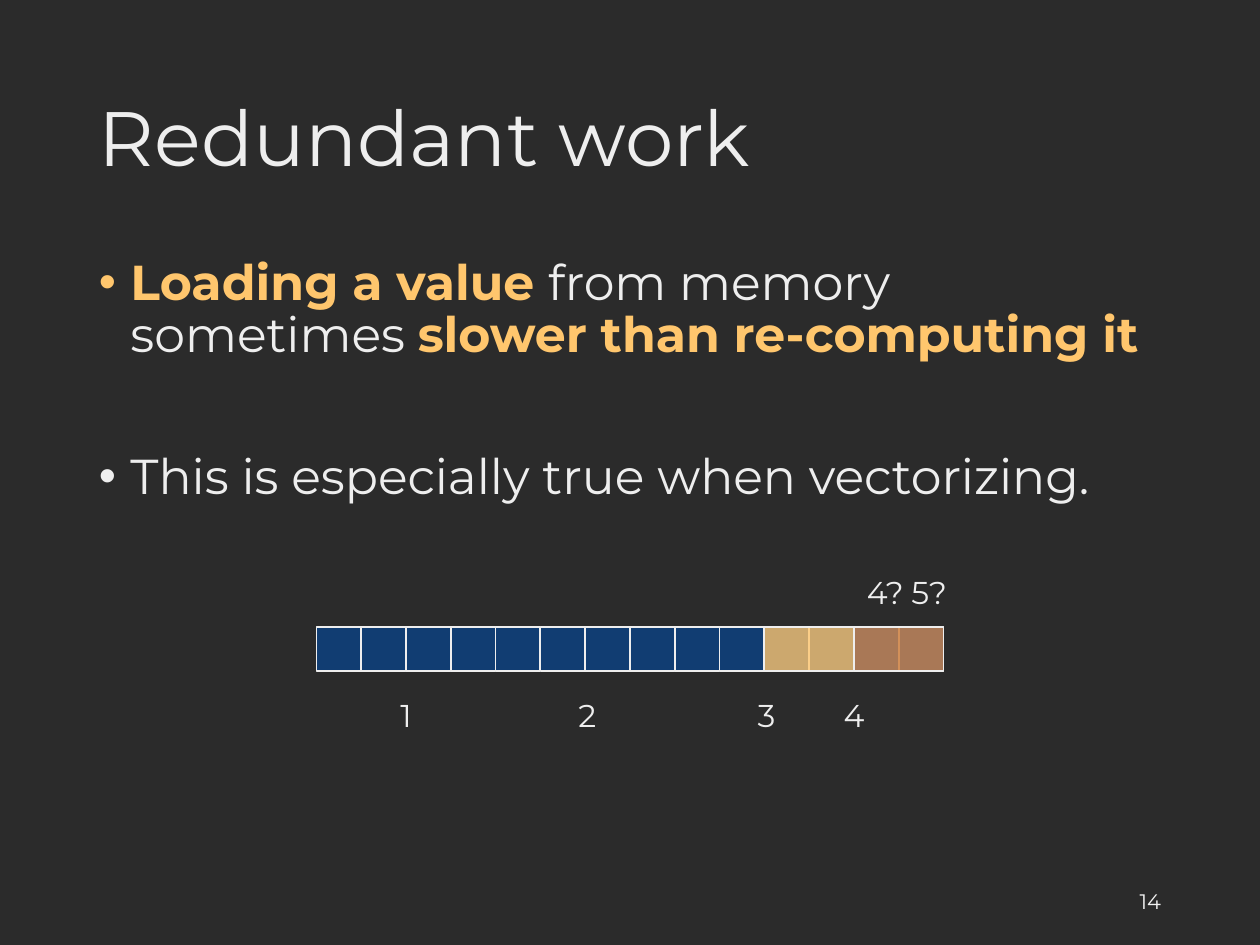
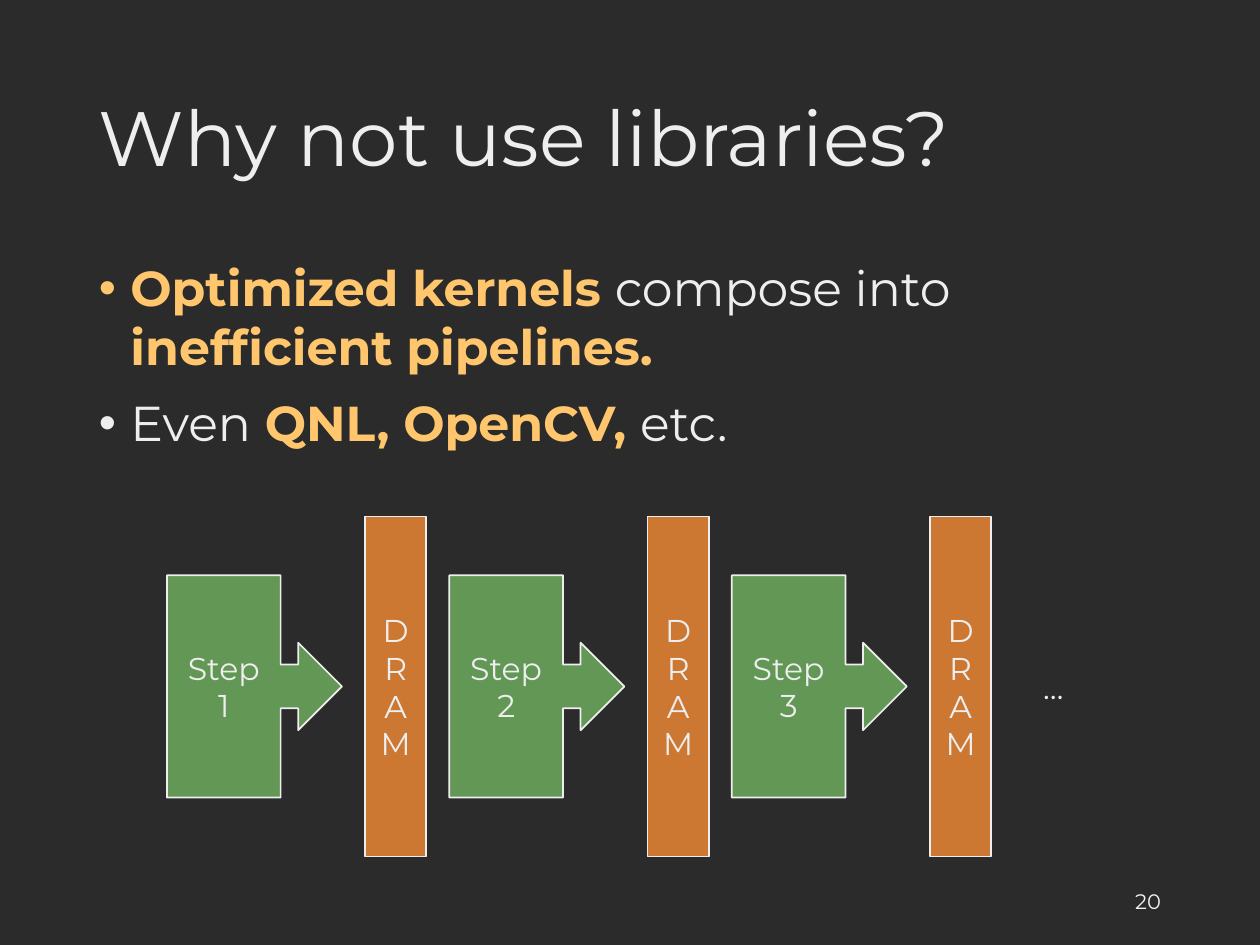
from lxml import etree
from pptx import Presentation
from pptx import util as u
from pptx.dml import color as col
from pptx.enum import shapes as sh, text as tx
from pptx.oxml import ns

Pt = u.Pt
FONT = "Montserrat"
BACK, PALE, GOLD, RUST = "2B2B2B", "EEEEEE", "FFC66D", "CC7832"
NAVY, BLUE, GREEN = "113D72", "287BDE", "629755"
MID, TOP = tx.MSO_ANCHOR.MIDDLE, tx.MSO_ANCHOR.TOP
LEFT, MIDST, RIGHT = tx.PP_ALIGN.LEFT, tx.PP_ALIGN.CENTER, tx.PP_ALIGN.RIGHT


def rgb(code):
    """Turn a hex string into a colour."""
    return col.RGBColor.from_string(code)


def node(home, tag, **attrs):
    """Add a drawing element to its parent."""
    return etree.SubElement(home, ns.qn("a:" + tag), attrs)


def dot(para, tint):
    """Give a paragraph a hanging bullet."""
    props = para._p.get_or_add_pPr()
    props.set("marL", str(Pt(18)))
    props.set("indent", str(-Pt(18)))
    node(node(props, "buClr"), "srgbClr", val=tint)
    node(props, "buFont", typeface="Arial")
    node(props, "buChar", char="•")


def write(frame, *lines, size=18, tint=PALE, align=MIDST, anchor=MID,
          wrap=True, lead=None, gap=0, bullet=False):
    """Fill a frame with lines, where *stars* mark bold gold words."""
    frame.word_wrap, frame.vertical_anchor = wrap, anchor
    for num, line in enumerate(lines):
        para = frame.add_paragraph() if num else frame.paragraphs[0]
        if bullet:
            dot(para, GOLD if line.startswith("*") else tint)
        para.alignment = align
        if lead:
            para.line_spacing = lead
        if num:
            para.space_before = Pt(gap)
        for odd, part in enumerate(line.split("*")):
            if part:
                run = para.add_run()
                run.text = part
                font = run.font
                font.name, font.size, font.bold = FONT, Pt(size), odd % 2 == 1
                font.color.rgb = rgb(GOLD if odd % 2 else tint)


def label(slide, box, *lines, **style):
    """Place a text box."""
    area = slide.shapes.add_textbox(*map(Pt, box))
    write(area.text_frame, *lines, **style)


def block(slide, box, fill, words="", kind=sh.MSO_SHAPE.RECTANGLE, alpha=None):
    """Place a filled shape with a pale outline."""
    shape = slide.shapes.add_shape(kind, *map(Pt, box))
    shape.shadow.inherit = False
    shape.fill.solid()
    shape.fill.fore_color.rgb = rgb(fill)
    shape.line.color.rgb = rgb(PALE)
    shape.line.width = Pt(1)
    if alpha:
        tone = shape.element.spPr.find(ns.qn("a:solidFill"))[0]
        node(tone, "alpha", val=str(alpha * 1000))
    if words:
        write(shape.text_frame, words)


def page(deck, title, num, points, **style):
    """Add a slide with title, bullet points and page number."""
    slide = deck.slides.add_slide(deck.slide_layouts[6])
    slide.background.fill.solid()
    slide.background.fill.fore_color.rgb = rgb(BACK)
    label(slide, (49.5, 28.75, 621, 104.4), title, size=44, align=LEFT, lead=0.9)
    label(slide, (49.5, 143.75, 621, 342.6), *points, size=28, align=LEFT,
          anchor=TOP, bullet=True, **style)
    label(slide, (508.5, 500.5, 162, 28.75), str(num), size=12,
          tint="F2F2F2", align=RIGHT)
    return slide


def vector(slide, box):
    """Draw the row of cells with its tail blocks and counts."""
    left, top, width, high = box
    step = width / 14
    for i in range(14):
        block(slide, (left + i * step, top, step, high), NAVY if i < 12 else BLUE)
    for i, fill in ((10, GOLD), (12, RUST)):
        block(slide, (left + i * step, top, 2 * step, high), fill, alpha=79)
    below, above = top + 35.6, top - 34.5
    marks = (("1", 2, below), ("2", 6.05, below), ("3", 10.05, below),
             ("4", 12, below), ("4?", 12.7, above), ("5?", 13.68, above))
    for words, spot, y in marks:
        label(slide, (left + spot * step - 18, y, 36, 29), words,
              anchor=TOP, wrap=False)


def chain(slide, box):
    """Draw steps that each pass through memory."""
    left, top, width, high = box
    pitch = width / 3
    for i in range(3):
        block(slide, (left + i * pitch, top + 33.6, 100, high - 67.2), GREEN,
              f"Step {i + 1}", sh.MSO_SHAPE.RIGHT_ARROW_CALLOUT)
    for i in range(3):
        block(slide, (left + i * pitch + 113.2, top, 35, high), RUST, "DRAM")
    label(slide, (left + width, top + high / 2 - 14.5, 44.6, 29), "…")


def main():
    """Build the deck."""
    deck = Presentation()
    deck.slide_width, deck.slide_height = Pt(720), Pt(540)
    slide = page(deck, "Redundant work", 14, (
        "*Loading a value *from memory sometimes *slower than re-computing it*",
        "This is especially true when vectorizing."), lead=0.9, gap=50.7)
    vector(slide, (180.8, 358.4, 358.4, 25.2))
    slide = page(deck, "Why not use libraries?", 20, (
        "*Optimized kernels *compose into *inefficient pipelines.*",
        "Even* QNL, OpenCV, *etc."), gap=10)
    chain(slide, (95.4, 295.2, 484.2, 194.2))
    deck.save("out.pptx")


if __name__ == "__main__":
    main()
